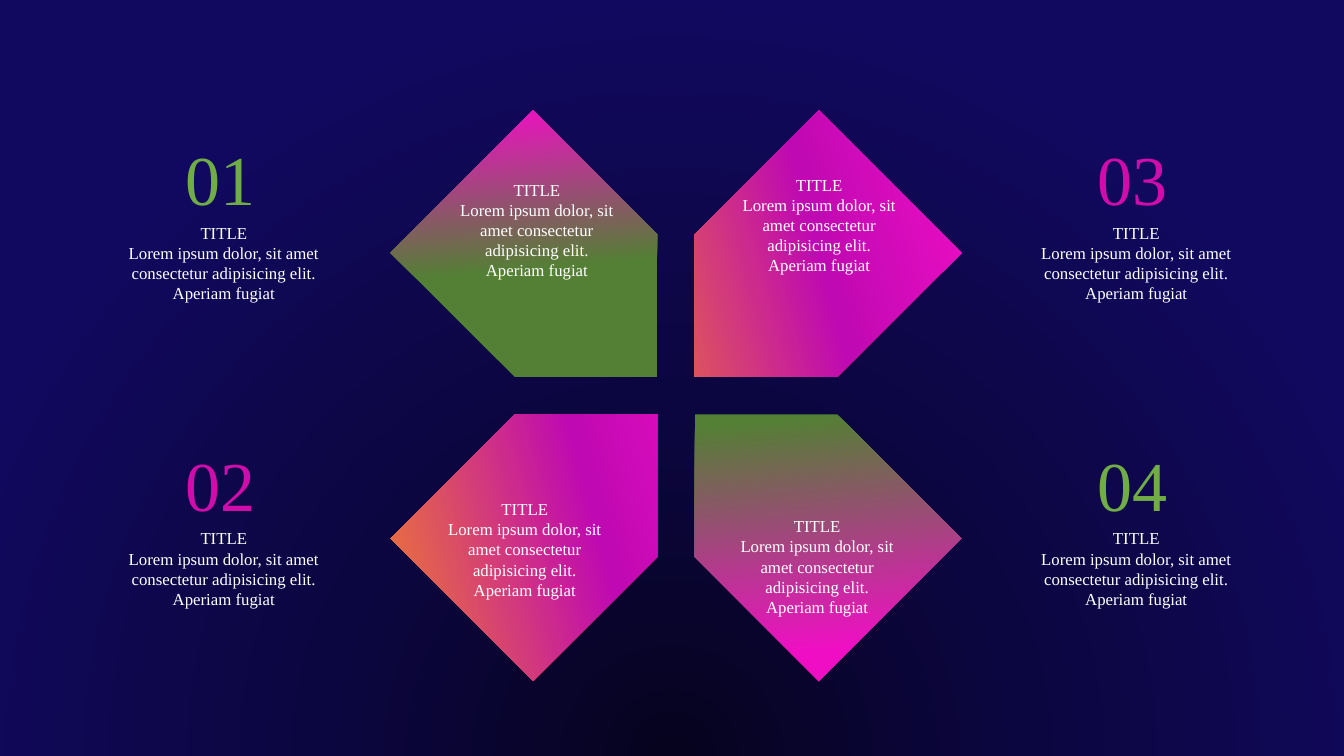
import pptx
import pptx.dml.color
import pptx.enum.text
import pptx.oxml
import pptx.oxml.ns
import pptx.util

Inches = pptx.util.Inches
GREEN, MAGENTA, WHITE = "70AD47", "D00CAB", "FFFFFF"
LOREM = "Lorem ipsum dolor, sit amet consectetur adipisicing elit. Aperiam fugiat"


def colour(value):
    return pptx.dml.color.RGBColor.from_string(value)


def linear(degrees):
    return f'<a:lin ang="{degrees * 60000}" scaled="0"/>'


class Deck:
    font = "Times New Roman"

    def __init__(self):
        self.presentation = pptx.Presentation()
        self.presentation.slide_width = Inches(13.33)
        self.presentation.slide_height = Inches(7.5)
        self.slide = self.presentation.slides.add_slide(self.presentation.slide_layouts[6])

    def gradient(self, target, fill, stops, direction):
        fill.solid()
        fill.fore_color.rgb = colour(WHITE)
        plain = target.element.xpath(".//a:solidFill")[0]
        marks = "".join(
            f'<a:gs pos="{position * 1000}"><a:srgbClr val="{shade}"/></a:gs>'
            for position, shade in stops
        )
        blend = pptx.oxml.parse_xml(
            f'<a:gradFill {pptx.oxml.ns.nsdecls("a")} rotWithShape="1">'
            f"<a:gsLst>{marks}</a:gsLst>{direction}</a:gradFill>"
        )
        plain.getparent().replace(plain, blend)

    def background(self, stops):
        glow = (
            '<a:path path="circle">'
            '<a:fillToRect l="50000" t="130000" r="50000" b="-30000"/></a:path>'
        )
        self.gradient(self.slide, self.slide.background.fill, stops, glow)

    def petal(self, left, top, outline, stops, degrees):
        corners = [(Inches(left + x), Inches(top + y)) for x, y in outline]
        builder = self.slide.shapes.build_freeform(*corners[0])
        builder.add_line_segments(corners[1:], close=True)
        petal = builder.convert_to_shape()
        petal.rotation = 315
        petal.shadow.inherit = False
        self.gradient(petal, petal.fill, stops, linear(degrees))
        petal.line.fill.background()

    def text(self, left, top, width, height, lines, size, shade, alignment):
        box = self.slide.shapes.add_textbox(
            Inches(left), Inches(top), Inches(width), Inches(height)
        )
        frame = box.text_frame
        frame.word_wrap = True
        frame.auto_size = pptx.enum.text.MSO_AUTO_SIZE.SHAPE_TO_FIT_TEXT
        for index, line in enumerate(lines):
            paragraph = frame.add_paragraph() if index else frame.paragraphs[0]
            paragraph.alignment = alignment
            run = paragraph.add_run()
            run.text = line
            run.font.name = self.font
            run.font.size = pptx.util.Pt(size)
            run.font.color.rgb = colour(shade)

    def caption(self, left, top, width, height):
        centre = pptx.enum.text.PP_ALIGN.CENTER
        self.text(left, top, width, height, ["TITLE", LOREM], 12, WHITE, centre)

    def number(self, left, top, label, shade):
        start = pptx.enum.text.PP_ALIGN.LEFT
        self.text(left, top, 0.95, 0.94, [label], 50, shade, start)


def main():
    deck = Deck()
    deck.background([(0, "06031F"), (46, "0C0640"), (100, "11095F")])

    length = 2.74
    pointing_up = [(1, 0), (2, 1), (2, length), (0, length), (0, 1)]
    pointing_down = [(x, length - y) for x, y in pointing_up]
    pointing_left = [(y, x) for x, y in pointing_up]
    pointing_right = [(length - x, y) for x, y in pointing_left]
    sunset = [(0, "ED7D31"), (58, "BF09B2"), (100, "F00EC5")]
    deck.petal(6.86, 3.71, pointing_up, [(24, "538034"), (89, "F00EC5")], 130)
    deck.petal(4.55, 1.4, pointing_down, [(53, "538034"), (99, "F00EC5")], 310)
    deck.petal(6.49, 1.77, pointing_left, sunset, 30)
    deck.petal(4.18, 4.08, pointing_right, sunset, 30)

    for left, top in [(4.45, 1.73), (7.25, 1.68), (4.33, 4.9), (7.23, 5.07)]:
        deck.caption(left, top, 1.75, 1.11)

    for label, left, top, shade in [
        ("01", 1.09, 1.3, GREEN),
        ("02", 1.09, 4.33, MAGENTA),
        ("03", 10.14, 1.3, MAGENTA),
        ("04", 10.14, 4.33, GREEN),
    ]:
        deck.caption(left, top + 0.86, 2.26, 0.91)
        deck.number(left + 0.65, top, label, shade)

    deck.presentation.save("out.pptx")


if __name__ == "__main__":
    main()
